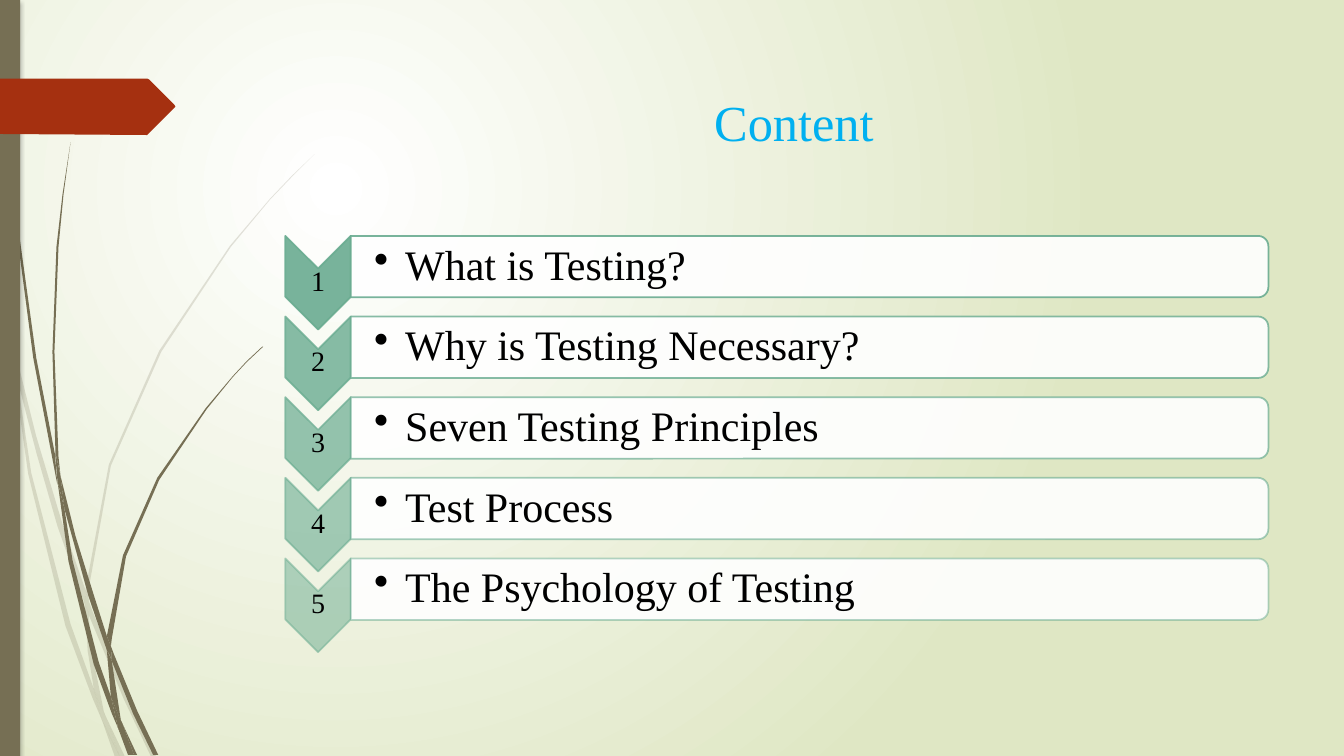
from lxml.etree import SubElement as add_child
from pptx import Presentation
from pptx.dml.color import RGBColor as Rgb
from pptx.enum.shapes import MSO_SHAPE as Preset
from pptx.enum.text import MSO_ANCHOR as Anchor, PP_ALIGN as Align
from pptx.oxml.ns import qn
from pptx.util import Pt

PX = 9144
FONT = "Times New Roman"
COLORS = {"olive": "766F54", "rust": "A53010", "green": "6AAC91", "white": "FFFFFF",
          "sage": "DFE7C4", "black": "000000", "sky": "00B0F0"}
TOPICS = ["What is Testing?", "Why is Testing Necessary?", "Seven Testing Principles",
          "Test Process", "The Psychology of Testing"]
FLAG = [(0, 0), (146, 0), (148, 1), (173, 26), (174, 28), (173, 29), (148, 54), (146, 56), (0, 55)]
PALE_STRANDS = [
    [(11, 350), (8, 322), (0, 282), (0, 299), (10, 344)],
    [(57, 522), (84, 599), (85, 586), (62, 520), (36, 433), (14, 345), (17, 376), (36, 449)],
    [(92, 607), (88, 596), (88, 610), (123, 694), (150, 751), (155, 751), (127, 691)],
    [(119, 751), (124, 751), (105, 711)],
    [(93, 683), (70, 619), (31, 469), (17, 376), (11, 350), (28, 470), (65, 621), (92, 693),
     (101, 714), (99, 707)],
    [(84, 599), (87, 646), (93, 683), (96, 692), (105, 711), (103, 706), (91, 646), (88, 610),
     (88, 608)],
    [(88, 584), (110, 462), (160, 349), (229, 245), (268, 198), (290, 175), (312, 153),
     (289, 175), (268, 197), (228, 244), (158, 348), (108, 461), (85, 584), (85, 586), (88, 596)],
    [(101, 714), (114, 751), (119, 751)],
    [(88, 608), (88, 610), (88, 596), (85, 586), (84, 599)],
    [(96, 692), (93, 683), (99, 707), (101, 714), (119, 751), (105, 711)],
]
DARK_STRANDS = [
    [(7, 110), (17, 233), (33, 355), (56, 476), (57, 481), (55, 457), (55, 453), (36, 355),
     (19, 232), (8, 109), (5, 48), (4, 0), (3, 0), (4, 48)],
    [(88, 592), (106, 645), (106, 633), (106, 631), (93, 590), (75, 532), (60, 472), (64, 505)],
    [(113, 649), (110, 641), (111, 656), (132, 708), (152, 749), (157, 749), (136, 705)],
    [(110, 691), (98, 657), (72, 556), (64, 505), (57, 477), (68, 557), (93, 659), (111, 708),
     (117, 722), (116, 717)],
    [(60, 472), (58, 453), (54, 349), (58, 245), (63, 193), (70, 141), (62, 193), (56, 245),
     (52, 349), (55, 449), (60, 471)],
    [(133, 749), (136, 749), (122, 719)],
    [(57, 477), (64, 505), (60, 472), (55, 449), (55, 453)],
    [(111, 633), (125, 552), (158, 476), (205, 406), (231, 374), (245, 359), (261, 344),
     (260, 344), (245, 358), (231, 373), (204, 405), (156, 474), (122, 551), (106, 631), (110, 641)],
    [(117, 722), (127, 749), (131, 749)],
    [(106, 645), (110, 691), (116, 706), (122, 719), (120, 715), (111, 656), (109, 651)],
    [(106, 645), (109, 650), (111, 656), (110, 641), (106, 631), (106, 633)],
    [(116, 706), (110, 691), (116, 717), (117, 722), (130, 749), (133, 749), (122, 719)],
]


def rgb(name):
    """Look up a named colour."""
    return Rgb.from_string(COLORS[name])


def scaled(*lengths):
    """Turn px lengths into EMU."""
    return [length * PX for length in lengths]


def fade(parent, percent):
    """Set the opacity of the solid fill directly under parent."""
    color = parent.find(qn("a:solidFill")).find(qn("a:srgbClr"))
    add_child(color, qn("a:alpha"), val=str(percent * 1000))


def paint(shape, color, opacity=100):
    """Give a shape a flat fill without line or shadow."""
    shape.shadow.inherit = False
    shape.fill.solid()
    shape.fill.fore_color.rgb = rgb(color)
    shape.line.fill.background()
    fade(shape.element.spPr, opacity)


def outline(shape, color, opacity):
    """Give a shape a thin line of the given opacity."""
    shape.line.color.rgb = rgb(color)
    shape.line.width = Pt(1.25)
    fade(shape.element.spPr.find(qn("a:ln")), opacity)


def add_polygon(shapes, points, color, opacity=100, top=0):
    """Draw a closed outline through px points."""
    (x, y), *rest = [(x, y + top) for x, y in points]
    builder = shapes.build_freeform(x, y, scale=PX)
    builder.add_line_segments(rest)
    paint(builder.convert_to_shape(), color, opacity)


def add_text(shapes, box, text, size, color, anchor=Anchor.TOP, insets=(10, 5, 10, 5)):
    """Add one line of text and return its paragraph."""
    frame = shapes.add_textbox(*scaled(*box)).text_frame
    frame.word_wrap = True
    frame.vertical_anchor = anchor
    (frame.margin_left, frame.margin_top,
     frame.margin_right, frame.margin_bottom) = scaled(*insets)
    para = frame.paragraphs[0]
    span = para.add_run()
    span.text = text
    span.font.name, span.font.size = FONT, Pt(size)
    span.font.color.rgb = rgb(color)
    return para


def add_upright(shapes, preset, left, top, width, height):
    """Add a preset turned a quarter so that it fills the given box."""
    frame = left + (width - height) / 2, top + (height - width) / 2, height, width
    shape = shapes.add_shape(preset, *[round(length) for length in scaled(*frame)])
    shape.rotation = 90
    return shape


def add_background(page):
    """Fill the page with a radial glow from the upper left."""
    fill = page.background.fill
    fill.gradient()
    for stop, color, position in zip(fill.gradient_stops, ("white", "sage"), (0, 1)):
        stop.color.rgb, stop.position = rgb(color), position
    gradient = page.element.find(".//" + qn("a:gradFill"))
    gradient.remove(gradient.find(qn("a:lin")))
    glow = add_child(gradient, qn("a:path"), path="circle")
    add_child(glow, qn("a:fillToRect"), l="25000", t="25000", r="75000", b="75000")


def add_decoration(page, height):
    """Draw the grass strands, the side bar and the flag."""
    for strands, opacity in ((PALE_STRANDS, 20), (DARK_STRANDS, 100)):
        group = page.shapes.add_group_shape()
        for points in strands:
            add_polygon(group.shapes, points, "olive", opacity)
    bar = page.shapes.add_shape(Preset.RECTANGLE, *scaled(0, 0, 20, height))
    paint(bar, "olive")
    effects = bar.element.spPr.find(qn("a:effectLst"))
    shadow = add_child(effects, qn("a:outerShdw"), blurRad=str(Pt(3)), dist=str(Pt(2)),
                       dir="5400000", rotWithShape="0")
    tint = add_child(shadow, qn("a:srgbClr"), val=COLORS["black"])
    add_child(tint, qn("a:alpha"), val="25000")
    add_polygon(page.shapes, FLAG, "rust", top=78)


def add_topic(shapes, left, top, width, number, topic):
    """Draw one numbered chevron with its topic bar."""
    arrow_width, arrow_height, bar_height = 65, 93, 61
    opacity = 100 - 10 * number
    arrow = add_upright(shapes, Preset.CHEVRON, left, top, arrow_width, arrow_height)
    paint(arrow, "green", opacity)
    outline(arrow, "green", opacity)
    label = add_text(shapes, (left, top + 32, arrow_width, 28), str(number), 20, "black",
                     Anchor.MIDDLE, (1, 1, 1, 1))
    label.alignment, label.line_spacing = Align.CENTER, 0.9
    bar_left, bar_width = left + arrow_width, width - arrow_width
    bar = add_upright(shapes, Preset.ROUND_2_SAME_RECTANGLE, bar_left, top, bar_width, bar_height)
    paint(bar, "white", 90)
    outline(bar, "green", opacity)
    para = add_text(shapes, (bar_left, top + 3, bar_width - 3, 55), topic, 30, "black",
                    Anchor.MIDDLE, (23, 2, 2, 2))
    para.line_spacing = 0.9
    properties = para._p.get_or_add_pPr()
    properties.set("marL", str(31 * PX))
    properties.set("indent", str(-31 * PX))
    add_child(properties, qn("a:buChar"), char="•")


def add_topics(page, left, top, width, pitch):
    """Stack the topics at an equal pitch."""
    shapes = page.shapes.add_group_shape().shapes
    for index, topic in enumerate(TOPICS):
        add_topic(shapes, left, top + index * pitch, width, index + 1, topic)


def main():
    """Build and save the content slide."""
    deck = Presentation()
    deck.slide_width, deck.slide_height = scaled(1333, 750)
    page = deck.slides.add_slide(deck.slide_layouts[6])
    add_background(page)
    add_decoration(page, 750)
    add_topics(page, 283, 234, 975, 80)
    title = add_text(page.shapes, (300, 85, 975, 140), "Content", 36, "sky")
    title.alignment = Align.CENTER
    deck.save("out.pptx")


if __name__ == "__main__":
    main()
